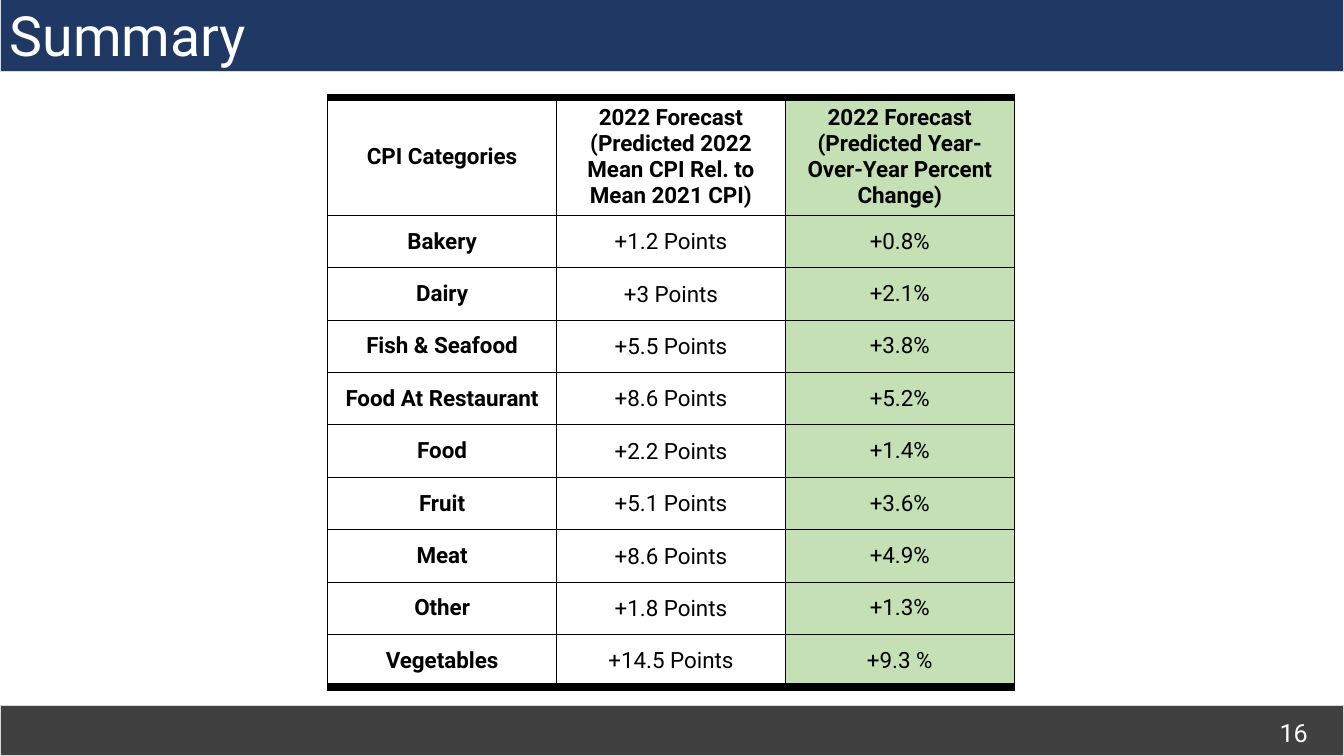
from lxml.etree import SubElement
from pptx import Presentation
from pptx.dml.color import RGBColor
from pptx.enum.shapes import MSO_SHAPE
from pptx.enum.text import MSO_ANCHOR, PP_ALIGN
from pptx.oxml.ns import qn
from pptx.util import Inches, Pt

FONT = "Roboto"
WHITE, BLACK, NAVY, GREY, EDGE, GREEN = (
    "FFFFFF", "000000", "203864", "404040", "D9D9D9", "C5E0B4")
WIDTH, HEIGHT = 13.33, 7.5
COL_WIDTH, HEADER_HEIGHT, ROW_HEIGHT = 2.27, 1.08, 0.52
THIN, THICK = 0.75, 6

# Each header cell is a list of paragraphs
HEADERS = [
    ["CPI Categories"],
    ["2022 Forecast", "(Predicted 2022 Mean CPI Rel. to Mean 2021 CPI)"],
    ["2022 Forecast", "(Predicted Year-Over-Year Percent Change)"],
]
FORECASTS = [
    ("Bakery", "+1.2 Points", "+0.8%"),
    ("Dairy", "+3 Points", "+2.1%"),
    ("Fish & Seafood", "+5.5 Points", "+3.8%"),
    ("Food At Restaurant", "+8.6 Points", "+5.2%"),
    ("Food", "+2.2 Points", "+1.4%"),
    ("Fruit", "+5.1 Points", "+3.6%"),
    ("Meat", "+8.6 Points", "+4.9%"),
    ("Other", "+1.8 Points", "+1.3%"),
    ("Vegetables", "+14.5 Points", "+9.3 %"),
]
COLUMN_FILLS = [WHITE, WHITE, GREEN]
# Left, top, right, bottom insets of the body cells, by column
BODY_MARGINS = [(0.1, 0.05, 0.1, 0.05), (0.01, 0.01, 0.01, 0), (0.01, 0.04, 0.01, 0.04)]


def rgb(value):
    return RGBColor.from_string(value)


def write(tf, lines, size, color, align, bold=False):
    for i, line in enumerate(lines):
        p = tf.paragraphs[0] if i == 0 else tf.add_paragraph()
        p.alignment = align
        r = p.add_run()
        r.text = line
        r.font.name, r.font.size, r.font.bold = FONT, Pt(size), bold
        r.font.color.rgb = rgb(color)


def add_band(slide, top, height, fill):
    """Add a bar across the full slide width."""
    sp = slide.shapes.add_shape(
        MSO_SHAPE.RECTANGLE, 0, Inches(top), Inches(WIDTH), Inches(height))
    sp.shadow.inherit = False
    sp.fill.solid()
    sp.fill.fore_color.rgb = rgb(fill)
    sp.line.color.rgb = rgb(EDGE)
    sp.line.width = Pt(1)


def add_text(slide, box, text, size, align, anchor):
    sp = slide.shapes.add_textbox(*map(Inches, box))
    tf = sp.text_frame
    tf.word_wrap = True
    tf.vertical_anchor = anchor
    write(tf, [text], size, WHITE, align)


def set_borders(cell, top, bottom):
    tc_pr = cell._tc.get_or_add_tcPr()
    for side, width in zip("LRTB", (THIN, THIN, top, bottom)):
        ln = SubElement(tc_pr, qn(f"a:ln{side}"), w=str(Pt(width)))
        fill = SubElement(ln, qn("a:solidFill"))
        SubElement(fill, qn("a:srgbClr"), val=BLACK)


def fill_cell(cell, lines, bold, fill, margins, top, bottom):
    set_borders(cell, top, bottom)
    cell.fill.solid()
    cell.fill.fore_color.rgb = rgb(fill)
    cell.vertical_anchor = MSO_ANCHOR.MIDDLE
    (cell.margin_left, cell.margin_top,
     cell.margin_right, cell.margin_bottom) = map(Inches, margins)
    write(cell.text_frame, lines, 16, BLACK, PP_ALIGN.CENTER, bold)


def add_forecast_table(slide, left, top):
    rows = [HEADERS] + [[[text] for text in row] for row in FORECASTS]
    last = len(rows) - 1
    table = slide.shapes.add_table(
        len(rows), len(HEADERS), Inches(left), Inches(top),
        Inches(COL_WIDTH * len(HEADERS)),
        Inches(HEADER_HEIGHT + ROW_HEIGHT * last)).table
    table.first_row = table.horz_banding = False
    for column in table.columns:
        column.width = Inches(COL_WIDTH)
    for i, row in enumerate(rows):
        table.rows[i].height = Inches(ROW_HEIGHT if i else HEADER_HEIGHT)
        for j, lines in enumerate(row):
            fill_cell(table.cell(i, j), lines, i == 0 or j == 0, COLUMN_FILLS[j],
                      BODY_MARGINS[j if i else 0],
                      THIN if i else THICK, THICK if i == last else THIN)


def main():
    prs = Presentation()
    prs.slide_width, prs.slide_height = Inches(WIDTH), Inches(HEIGHT)
    slide = prs.slides.add_slide(prs.slide_layouts[6])
    add_band(slide, -0.02, 0.73, NAVY)
    add_band(slide, HEIGHT - 0.5, 0.5, GREY)
    add_text(slide, (10.07, 7.07, 3, 0.4), "16", 18, PP_ALIGN.RIGHT, MSO_ANCHOR.TOP)
    add_text(slide, (0, 0, WIDTH, 0.68), "Summary", 39.6, PP_ALIGN.LEFT, MSO_ANCHOR.MIDDLE)
    add_forecast_table(slide, 3.25, 0.97)
    prs.save("out.pptx")


if __name__ == "__main__":
    main()
